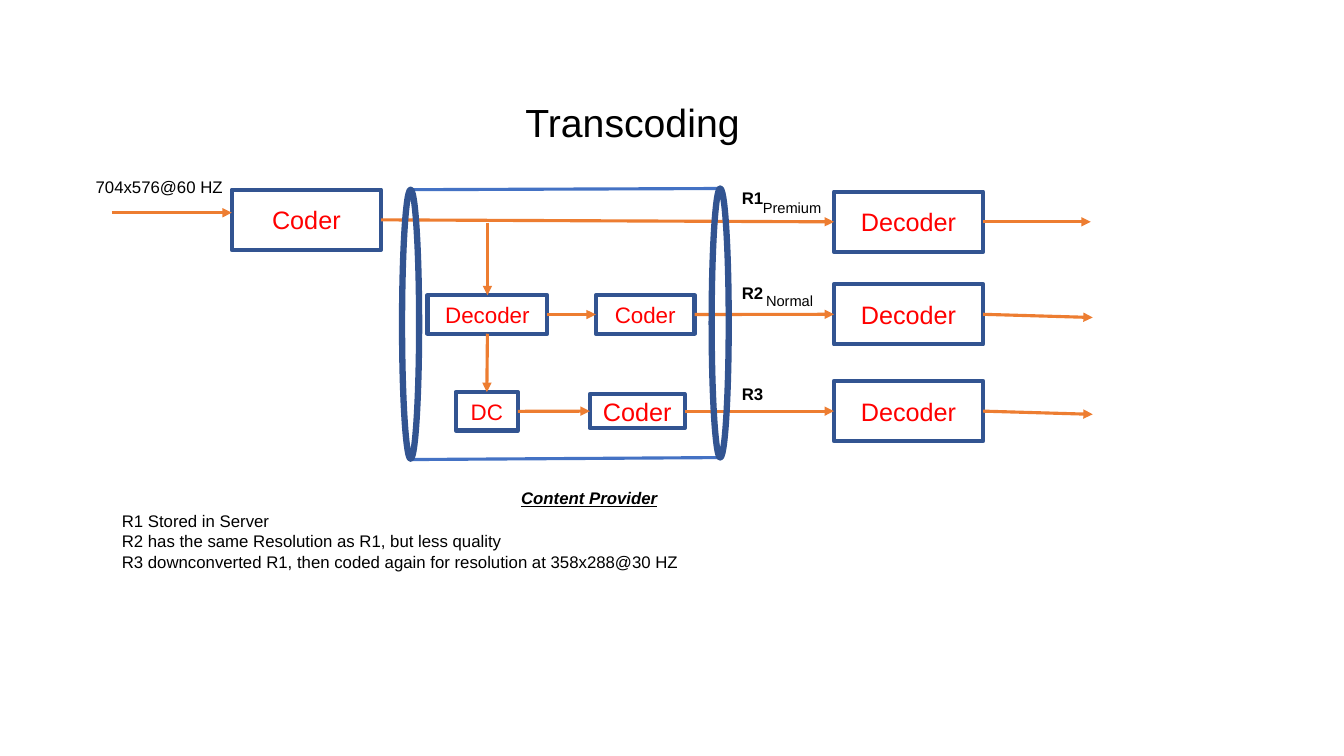
from pptx import Presentation
from pptx.dml.color import RGBColor
from pptx.enum.shapes import MSO_CONNECTOR, MSO_SHAPE
from pptx.enum.text import MSO_ANCHOR, PP_ALIGN
from pptx.oxml.ns import qn
from pptx.util import Cm, Pt
from lxml.etree import SubElement

NAVY, BLUE, ORANGE, RED, BLACK = "325491", "4472C4", "ED7D31", "FF0000", "000000"
TOP, LEFT, BOTTOM, RIGHT = range(4)


def rgb(color):
    return RGBColor.from_string(color)


def write(shape, text, size, color):
    """Fill the shape with text, one paragraph per line, and return its fonts."""
    frame = shape.text_frame
    frame.word_wrap = True
    frame.text = text
    fonts = [span.font for para in frame.paragraphs for span in para.runs]
    for font in fonts:
        font.name = "Arial"
        font.size = Pt(size)
        font.color.rgb = rgb(color)
    return fonts


deck = Presentation()
deck.slide_width, deck.slide_height = Cm(33.86), Cm(19.05)
page = deck.slides.add_slide(deck.slide_layouts[6])

# Title
title = page.shapes.add_textbox(Cm(12.95), Cm(2.36), Cm(5.97), Cm(1.45))
write(title, "Transcoding", 28, BLACK)
title.text_frame.word_wrap = False
title.text_frame.paragraphs[0].alignment = PP_ALIGN.CENTER

# Coders and decoders: key, text, left, top, width, height, text size
boxes = {}
for key, text, left, top, width, height, size in [
    ("source", "Coder", 5.84, 4.78, 3.76, 1.52, 18),
    ("R1 out", "Decoder", 21.01, 4.83, 3.76, 1.52, 18),
    ("R2 out", "Decoder", 21.01, 7.16, 3.76, 1.52, 18),
    ("R3 out", "Decoder", 21.01, 9.6, 3.76, 1.52, 18),
    ("decoder", "Decoder", 10.77, 7.44, 3.02, 0.97, 16),
    ("R2 coder", "Coder", 15.01, 7.44, 2.49, 0.97, 16),
    ("DC", "DC", 11.48, 9.88, 1.57, 0.97, 16),
    ("R3 coder", "Coder", 14.86, 9.93, 2.39, 0.86, 18),
]:
    box = page.shapes.add_shape(MSO_SHAPE.RECTANGLE, Cm(left), Cm(top), Cm(width), Cm(height))
    box.shadow.inherit = False
    box.fill.background()
    box.line.color.rgb = rgb(NAVY)
    box.line.width = Pt(3)
    write(box, text, size, RED)
    box.text_frame.vertical_anchor = MSO_ANCHOR.MIDDLE
    box.text_frame.paragraphs[0].alignment = PP_ALIGN.CENTER
    boxes[key] = box

# Arrows and pipe edges; an end is either a point or a box with its side
for start, end, color in [
    ((2.82, 5.36), (5.84, 5.36), ORANGE),
    (("source", RIGHT), ("R1 out", LEFT), ORANGE),
    (("R2 coder", RIGHT), ("R2 out", LEFT), ORANGE),
    (("R3 coder", RIGHT), ("R3 out", LEFT), ORANGE),
    (("R1 out", RIGHT), (27.48, 5.59), ORANGE),
    (("R2 out", RIGHT), (27.53, 8), ORANGE),
    (("R3 out", RIGHT), (27.53, 10.44), ORANGE),
    ((12.28, 5.61), ("decoder", TOP), ORANGE),
    (("decoder", BOTTOM), ("DC", TOP), ORANGE),
    (("decoder", RIGHT), ("R2 coder", LEFT), ORANGE),
    (("DC", RIGHT), ("R3 coder", LEFT), ORANGE),
    ((10.34, 4.78), (18.14, 4.75), BLUE),
    ((10.34, 11.58), (18.14, 11.53), BLUE),
]:
    points = [(0, 0) if end_at[0] in boxes else end_at for end_at in (start, end)]
    (x1, y1), (x2, y2) = points
    line = page.shapes.add_connector(MSO_CONNECTOR.STRAIGHT, Cm(x1), Cm(y1), Cm(x2), Cm(y2))
    if start[0] in boxes:
        line.begin_connect(boxes[start[0]], start[1])
    if end[0] in boxes:
        line.end_connect(boxes[end[0]], end[1])
    line.line.color.rgb = rgb(color)
    line.line.width = Pt(2.25)
    if color == ORANGE:
        SubElement(line.line._get_or_add_ln(), qn("a:tailEnd"), type="triangle")
    SubElement(line._element.spPr, qn("a:effectLst"))

# Ends of the pipe
for left, top in [(10.13, 4.78), (17.93, 4.75)]:
    ring = page.shapes.add_shape(MSO_SHAPE.OVAL, Cm(left), Cm(top), Cm(0.43), Cm(6.78))
    ring.shadow.inherit = False
    ring.fill.background()
    ring.line.color.rgb = rgb(NAVY)
    ring.line.width = Pt(4.5)

# Labels: text, left, top, width, height, size, bold
notes = "\n".join([
    "R1 Stored in Server",
    "R2 has the same Resolution as R1, but less quality",
    "R3 downconverted R1, then coded again for resolution at 358x288@30 HZ",
])
for text, left, top, width, height, size, bold in [
    ("704x576@60 HZ", 2.16, 4.34, 3.76, 0.76, 12, False),
    ("R1", 18.44, 4.6, 1.37, 0.76, 12, True),
    ("R2", 18.44, 6.99, 1.37, 0.76, 12, True),
    ("R3", 18.44, 9.55, 1.37, 0.76, 12, True),
    ("Premium", 18.97, 4.88, 2.03, 0.71, 10.5, False),
    ("Normal", 19.05, 7.24, 2.03, 0.71, 10.5, False),
    (notes, 2.82, 12.75, 16.23, 2.31, 12, False),
    ("Content Provider", 12.88, 12.17, 4.06, 0.76, 12, True),
]:
    label = page.shapes.add_textbox(Cm(left), Cm(top), Cm(width), Cm(height))
    for font in write(label, text, size, BLACK):
        font.bold = bold
        if text == "Content Provider":
            font.italic = font.underline = True

deck.save("out.pptx")
